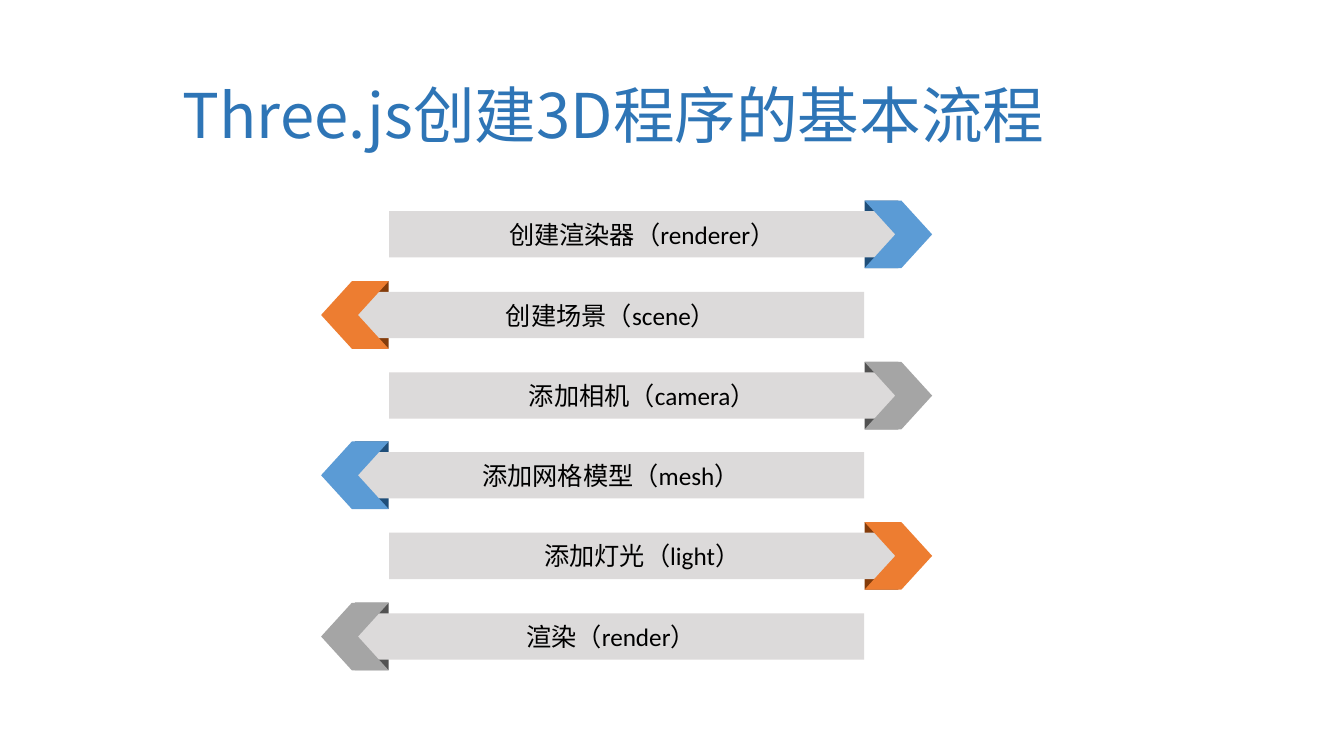
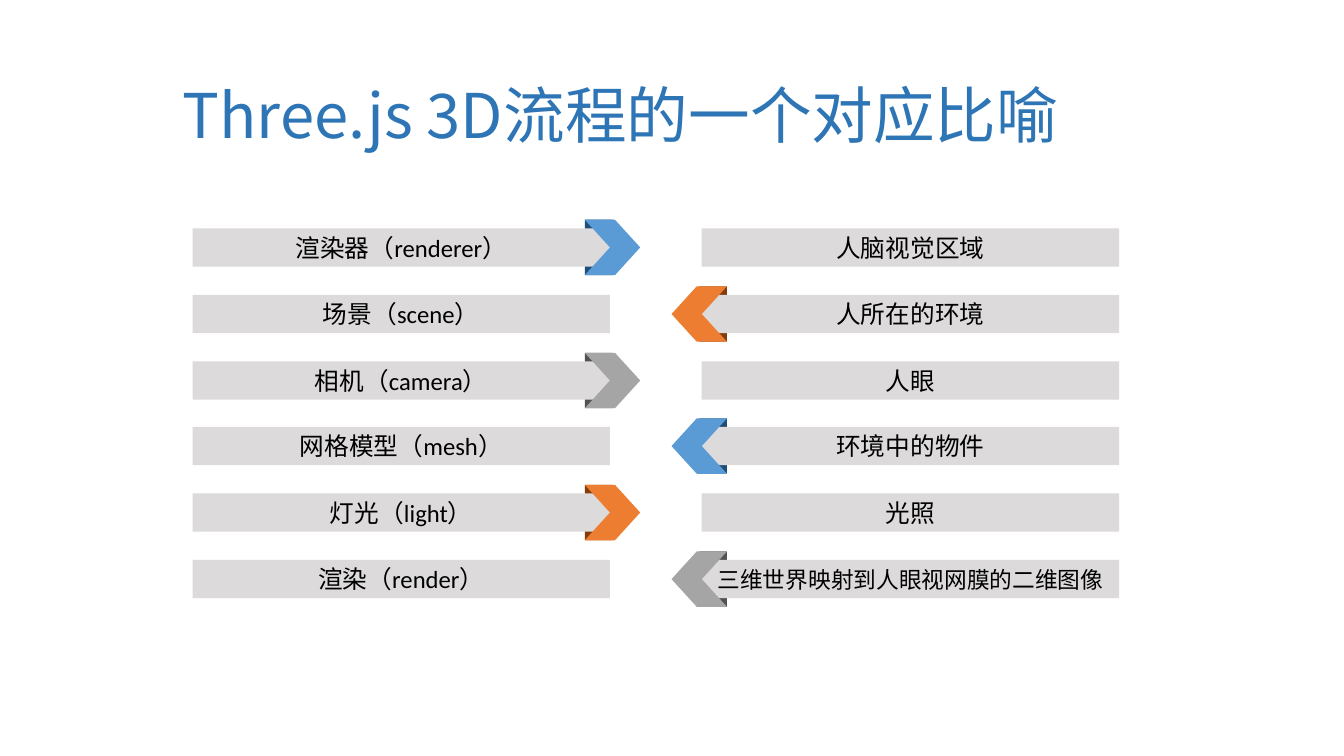
from dataclasses import dataclass

from pptx import Presentation
from pptx import util as u
from pptx.dml.color import RGBColor
from pptx.enum import shapes, text
from pptx.oxml import ns
from lxml import etree

EMU_PER_PX = 9144  # 100 px to the inch


@dataclass(frozen=True)
class Theme:
    title_font: str = "Noto Sans CJK SC"
    latin_font: str = "Calibri"
    asian_font: str = "Noto Sans CJK SC"
    title_colour: str = "2E75B6"
    text_colour: str = "000000"
    bar_colour: str = "DCDADA"
    # Chevron colour with the darker colour of its fold
    accents: tuple = (("5B9BD5", "1F4E79"), ("ED7D31", "843C0B"), ("A5A5A5", "525252"))
    title_size: float = 44
    flow_size: float = 18
    pair_size: float = 17.6
    long_pair_size: float = 16.2
    notch: float = 0.455


@dataclass(frozen=True)
class RibbonStyle:
    bar_width: int
    bar_height: int
    chevron: int
    first_top: int
    last_top: int

    def top(self, row, count):
        return round(self.first_top + row * (self.last_top - self.first_top) / (count - 1))


THEME = Theme()
FLOW_STYLE = RibbonStyle(502, 46, 67, 199, 598)
PAIR_STYLE = RibbonStyle(414, 38, 55, 218, 547)

FLOW_STEPS = (
    "创建渲染器（renderer）",
    "创建场景（scene）",
    "添加相机（camera）",
    "添加网格模型（mesh）",
    "添加灯光（light）",
    "渲染（render）",
)
PAIRS = (
    ("渲染器（renderer）", "人脑视觉区域"),
    ("场景（scene）", "人所在的环境"),
    ("相机（camera）", "人眼"),
    ("网格模型（mesh）", "环境中的物件"),
    ("灯光（light）", "光照"),
    ("渲染（render）", "三维世界映射到人眼视网膜的二维图像"),
)


def px(length):
    return u.Emu(round(length * EMU_PER_PX))


def format_text(frame, size, colour, latin, asian, align):
    frame.word_wrap = True
    frame.auto_size = text.MSO_AUTO_SIZE.NONE
    frame.vertical_anchor = text.MSO_ANCHOR.MIDDLE
    for para in frame.paragraphs:
        para.alignment = align
        for span in para.runs:
            span.font.size = u.Pt(size)
            span.font.name = latin
            span.font.color.rgb = RGBColor.from_string(colour)
            east = etree.SubElement(span.font._element, ns.qn("a:ea"))
            east.set("typeface", asian)


def add_page(deck, title):
    page = deck.slides.add_slide(deck.slide_layouts.get_by_name("Title Only"))
    box = page.shapes.title
    box.left, box.top, box.width, box.height = map(px, (171, 40, 1071, 145))
    box.text_frame.text = title
    format_text(box.text_frame, THEME.title_size, THEME.title_colour,
                THEME.title_font, THEME.title_font, text.PP_ALIGN.LEFT)
    return page


def add_block(parent, preset, left, top, width, height, colour):
    block = parent.shapes.add_shape(preset, px(left), px(top), px(width), px(height))
    block.shadow.inherit = False
    block.fill.solid()
    block.fill.fore_color.rgb = RGBColor.from_string(colour)
    block.line.fill.background()
    return block


def add_bar(parent, style, left, top, label, size):
    """Add a labelled bar, centred on the height of a chevron that starts at top."""
    bar_top = top + (style.chevron - style.bar_height) / 2
    bar = add_block(parent, shapes.MSO_SHAPE.RECTANGLE, left, bar_top,
                    style.bar_width, style.bar_height, THEME.bar_colour)
    bar.text_frame.text = label
    format_text(bar.text_frame, size, THEME.text_colour,
                THEME.latin_font, THEME.asian_font, text.PP_ALIGN.CENTER)


def add_ribbon(page, style, bar_left, row, top, label, size):
    """Add a bar whose chevron points right on even rows and left on odd ones."""
    points_right = row % 2 == 0
    colour, fold_colour = THEME.accents[row % len(THEME.accents)]
    overlap = style.chevron * THEME.notch
    half = style.chevron / 2
    if points_right:
        chevron_left = bar_left + style.bar_width - overlap
        fold_left = chevron_left
    else:
        chevron_left = bar_left + overlap - style.chevron
        fold_left = chevron_left + half

    ribbon = page.shapes.add_group_shape()
    add_block(ribbon, shapes.MSO_SHAPE.RECTANGLE, fold_left, top,
              half, style.chevron, fold_colour)
    add_bar(ribbon, style, bar_left, top, label, size)
    chevron = add_block(ribbon, shapes.MSO_SHAPE.CHEVRON, chevron_left, top,
                        style.chevron, style.chevron, colour)
    chevron.adjustments[0] = THEME.notch
    chevron.rotation = 0 if points_right else 180


def add_flow(page):
    bar_lefts = (386, 355)
    for row, label in enumerate(FLOW_STEPS):
        top = FLOW_STYLE.top(row, len(FLOW_STEPS))
        add_ribbon(page, FLOW_STYLE, bar_lefts[row % 2], row, top, label, THEME.flow_size)


def add_pairs(page):
    """Add two columns; the chevron sits on the left column in even rows."""
    bar_lefts = (191, 696)
    for row, pair in enumerate(PAIRS):
        top = PAIR_STYLE.top(row, len(PAIRS))
        for column, label in enumerate(pair):
            size = THEME.long_pair_size if len(label) > 16 else THEME.pair_size
            left = bar_lefts[column]
            if column == row % 2:
                add_ribbon(page, PAIR_STYLE, left, row, top, label, size)
            else:
                add_bar(page, PAIR_STYLE, left, top, label, size)


def main():
    deck = Presentation()
    deck.slide_width, deck.slide_height = u.Inches(13.33), u.Inches(7.5)
    add_flow(add_page(deck, "Three.js创建3D程序的基本流程"))
    add_pairs(add_page(deck, "Three.js 3D流程的一个对应比喻"))
    deck.save("out.pptx")


if __name__ == "__main__":
    main()
